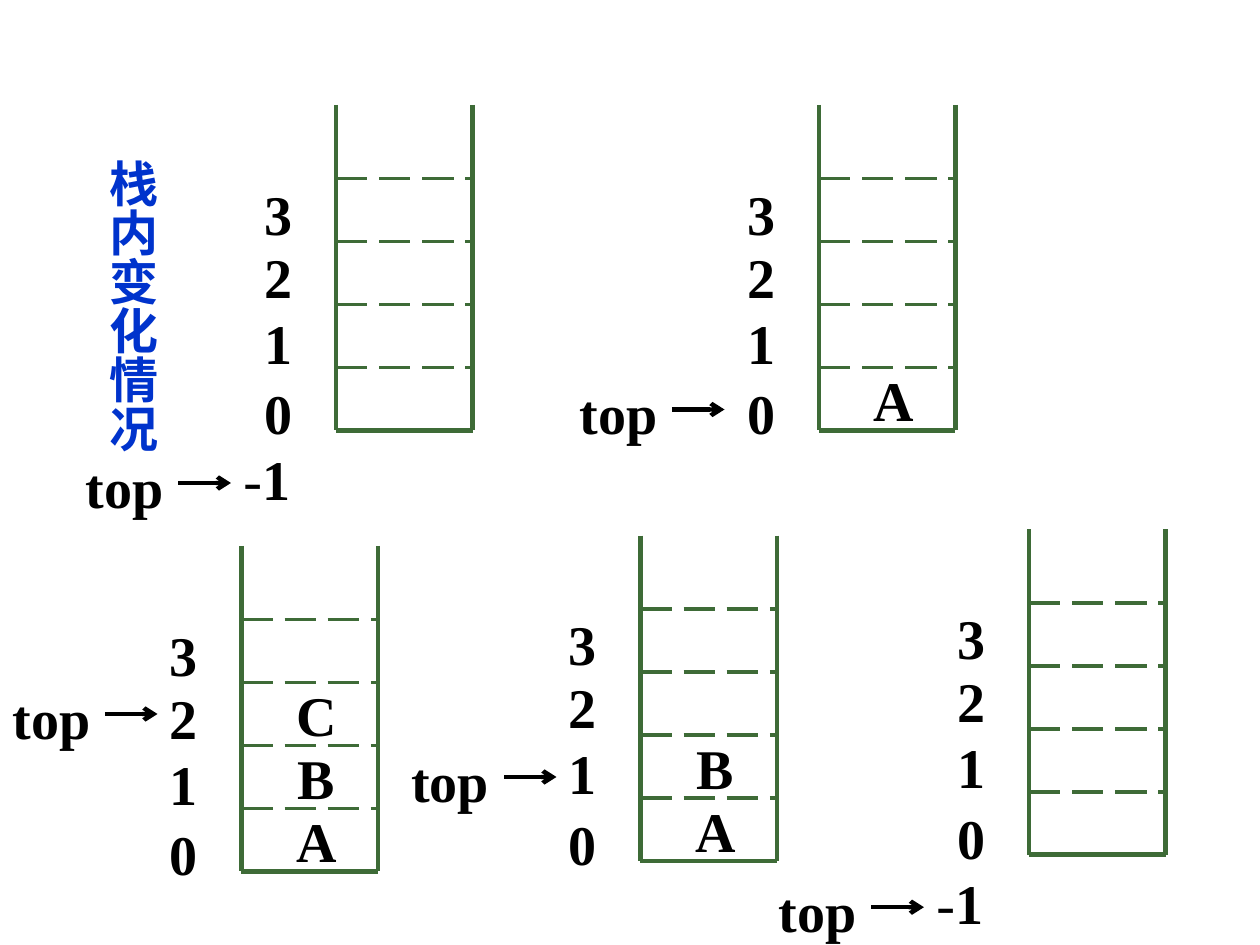
from lxml import etree
from pptx import Presentation
from pptx.dml.color import RGBColor
from pptx.enum.dml import MSO_LINE
from pptx.enum.shapes import MSO_CONNECTOR
from pptx.enum.text import MSO_AUTO_SIZE, PP_ALIGN
from pptx.oxml.ns import qn
from pptx.util import Pt

STRAIGHT = MSO_CONNECTOR.STRAIGHT
DASH = MSO_LINE.LONG_DASH
GROW = MSO_AUTO_SIZE.SHAPE_TO_FIT_TEXT
CENTER = PP_ALIGN.CENTER

COLORS = {"wall": "3E6B37", "ink": "000000", "title": "0033CC"}
TITLE = "栈内变化情况"

# left and top of each stack, distance from the "top" label to it,
# index that top points at, items from the bottom up
STACKS = [
    (192, 60, 150, -1, ""),
    (138, 312, 138, 2, "ABC"),
    (366, 306, 138, 1, "AB"),
    (468, 60, 144, 0, "A"),
    (588, 302.4, 150, -1, ""),
]
WIDE, HIGH, CELL = 78, 186, 36
# top of each index label below the stack's top, and its line spacing
ROWS = {3: (36, 1), 2: (72, 1), 1: (114, 0.9), 0: (150, 1), -1: (192, 0.9)}

INDEX = {"size": Pt(32), "name": "Times New Roman", "bold": True}
MINUS = {**INDEX, "bold": False}
HEAD = {"size": Pt(28), "name": "Noto Sans CJK SC", "bold": True}


def line(home, x1, y1, x2, y2, color="wall", width=2.5, dash=None, arrow=False):
    link = home.add_connector(STRAIGHT, Pt(x1), Pt(y1), Pt(x2), Pt(y2))
    link.line.color.rgb = RGBColor.from_string(COLORS[color])
    link.line.width = Pt(width)
    if dash:
        link.line.dash_style = dash
    if arrow:
        etree.SubElement(link.line._get_or_add_ln(), qn("a:tailEnd"), type="arrow")
    etree.SubElement(link._element.spPr, qn("a:effectLst"))


def label(home, x, y, w, h, runs, color="ink", spacing=1, align=None, inset=6.5):
    """Add a one-paragraph text box; runs are (text, font values) pairs."""
    box = home.add_textbox(Pt(x), Pt(y), Pt(w), Pt(h))
    frame = box.text_frame
    frame.word_wrap = True
    frame.auto_size = GROW
    frame.margin_top = Pt(inset)
    para = frame.paragraphs[0]
    para.line_spacing = spacing
    para.alignment = align
    for text, style in runs:
        run = para.add_run()
        run.text = text
        for key, value in style.items():
            setattr(run.font, key, value)
        run.font.color.rgb = RGBColor.from_string(COLORS[color])
        etree.SubElement(run.font._element, qn("a:ea"), typeface=style["name"])
    return box


def stack(home, x, y, gap, top, items):
    right, base = x + WIDE, y + HIGH
    for side in (x, right):
        line(home, side, y, side, base)
    line(home, x, base, right, base)
    for i in range(1, 5):
        line(home, x, base - i * CELL, right, base - i * CELL, width=2.25, dash=DASH)

    for i in range(4):
        drop, space = ROWS[i]
        label(home, x - 48, y + drop, 36, 45 * space, [(str(i), INDEX)], spacing=space)
    drop, space = ROWS[top]
    if top < 0:
        runs = [("-", MINUS), ("1", INDEX)]
        label(home, x - 60, y + drop, 48, 42, runs, spacing=space)

    left, level = x - gap, y + drop
    label(home, left, level, 150, 45, [("top", INDEX)])
    line(home, left + 60, level + 24, left + 90, level + 24, color="ink", arrow=True)

    for i, item in enumerate(items, 1):
        label(home, x + 6, base - i * CELL, 73.5, 38, [(item, INDEX)],
              spacing=0.8, align=CENTER)


def main():
    deck = Presentation()
    deck.slide_width, deck.slide_height = Pt(720), Pt(540)
    slide = deck.slides.add_slide(deck.slide_layouts[6])
    for spot in STACKS:
        stack(slide.shapes.add_group_shape().shapes, *spot)
    title = label(slide.shapes, 48, 84, 48, 210, [(TITLE, HEAD)], "title", inset=3.6)
    title.text_frame._txBody.bodyPr.set("vert", "eaVert")
    deck.save("out.pptx")


if __name__ == "__main__":
    main()
